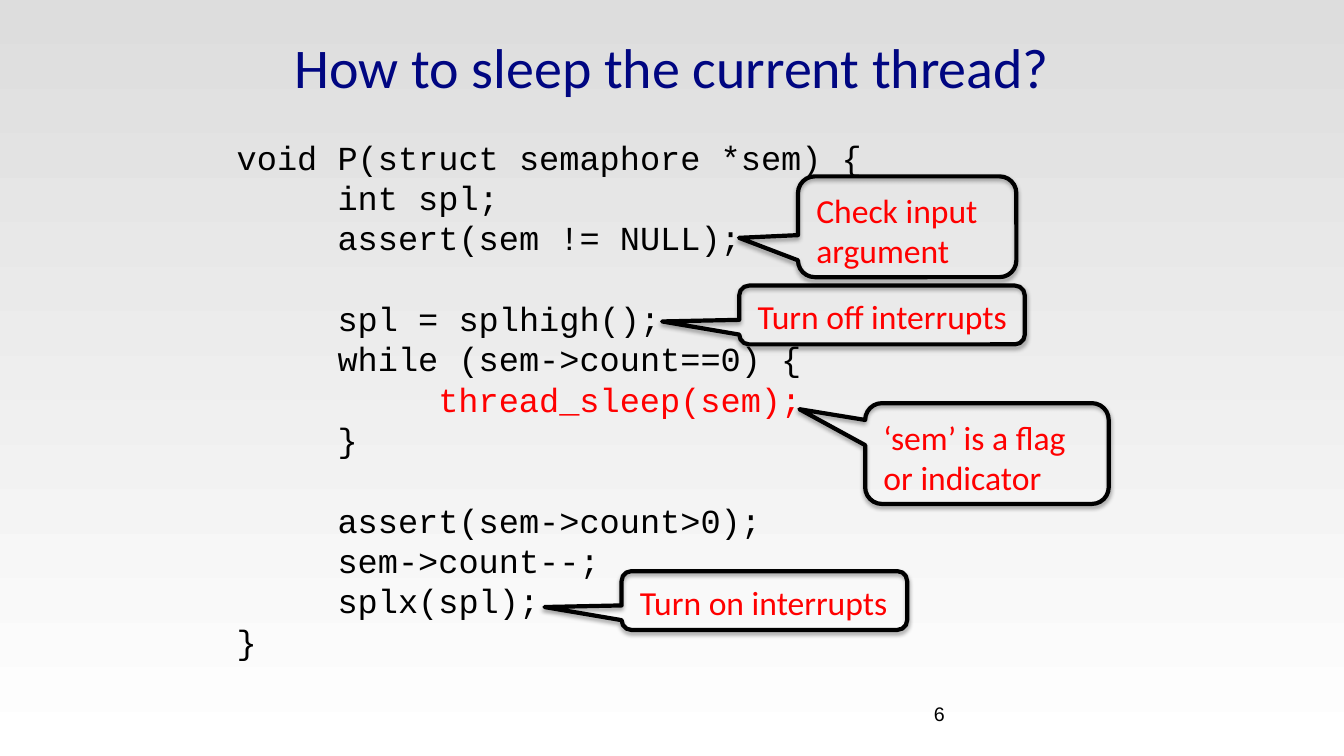
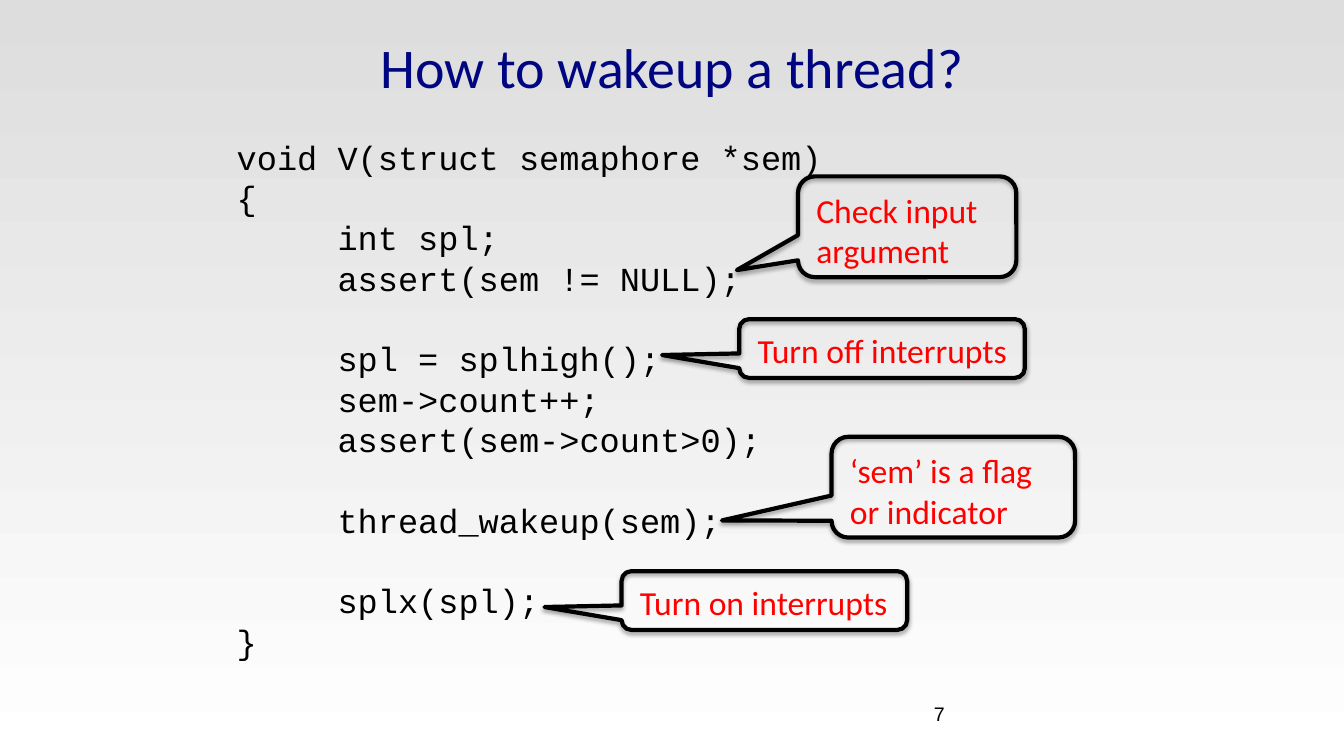
"""Build two slides that annotate the semaphore functions P and V with callouts."""
from dataclasses import dataclass

from lxml import etree
from pptx import Presentation
from pptx.dml.color import RGBColor
from pptx.enum.shapes import MSO_SHAPE
from pptx.enum.text import MSO_ANCHOR, PP_ALIGN
from pptx.util import Inches, Pt

CALLOUT = MSO_SHAPE.ROUNDED_RECTANGULAR_CALLOUT
MIDDLE = MSO_ANCHOR.MIDDLE
LEFT, CENTER = PP_ALIGN.LEFT, PP_ALIGN.CENTER


@dataclass(frozen=True)
class Theme:
    title: str = "000681"
    ink: str = "000000"
    accent: str = "FF0000"
    shade: str = "DDDDDD"
    paper: str = "FFFFFF"
    sans: str = "Calibri"
    mono: str = "Courier New"
    plain: str = "Arial"
    title_size: int = 40
    text_size: int = 24
    number_size: int = 14
    code_pitch: float = 28.8
    outline: int = 3


THEME = Theme()
UNIT = Inches(1) // 12
COLUMNS, ROWS = 160, 90
TITLE_AREA = (26, 0, 108, 15.7)
CODE_AREA = (27, 15.67, 110, 64)
NUMBER_AREA = (110, 83, 16, 6)
INDENT = 12 * UNIT
FIRST_NUMBER = 6
SHADOW = (
    '<a:effectLst xmlns:a="http://schemas.openxmlformats.org/drawingml/2006/main">'
    '<a:outerShdw blurRad="40000" dist="23000" dir="5400000" rotWithShape="0">'
    '<a:srgbClr val="000000"><a:alpha val="35000"/></a:srgbClr>'
    '</a:outerShdw></a:effectLst>'
)

NOTES = {
    "flag": ("‘sem’ is a flag or indicator", 29, 12, 1),
    "check": ("Check input argument", 26, 12, 1),
    "off": ("Turn off interrupts", 34, 7, 0.67),
    "on": ("Turn on interrupts", 34, 7, 0.67),
}
PAGES = [
    (
        "How to sleep the current thread?",
        [
            [(0, "void P(struct semaphore *sem) {"), (1, "int spl;"),
             (1, "assert(sem != NULL);")],
            [(1, "spl = splhigh();"), (1, "while (sem->count==0) {"),
             (2, "thread_sleep(sem);"), (1, "}")],
            [(1, "assert(sem->count>0);"), (1, "sem->count--;"),
             (1, "splx(spl);"), (0, "}")],
        ],
        [
            ("flag", 103, 48, -0.77, -0.44),
            ("check", 95, 21, -0.77, 0.11),
            ("off", 88, 34, -0.77, 0.11),
            ("on", 74, 68, -0.77, 0.11),
        ],
    ),
    (
        "How to wakeup a thread?",
        [
            [(0, "void V(struct semaphore *sem)"), (0, "{"), (1, "int spl;"),
             (1, "assert(sem != NULL);")],
            [(1, "spl = splhigh();"), (1, "sem->count++;"),
             (1, "assert(sem->count>0);")],
            [(1, "thread_wakeup(sem);")],
            [(1, "splx(spl);"), (0, "}")],
        ],
        [
            ("flag", 99, 52, -0.95, 0.33),
            ("check", 95, 21, -0.78, 0.43),
            ("off", 88, 38, -0.77, 0.11),
            ("on", 74, 68, -0.77, 0.11),
        ],
    ),
]
HIGHLIGHT = "thread_sleep"


def grid(*cells):
    """Turn grid cells into lengths."""
    return [int(cell * UNIT) for cell in cells]


def write(para, text, font=THEME.sans, size=THEME.text_size, color=THEME.ink, align=LEFT):
    """Add formatted text to a paragraph."""
    para.alignment = align
    span = para.add_run()
    span.text = text
    span.font.name = font
    span.font.size = Pt(size)
    span.font.color.rgb = RGBColor.from_string(color)


deck = Presentation()
deck.slide_width, deck.slide_height = grid(COLUMNS, ROWS)
layout = deck.slide_layouts.get_by_name("Title Only")

backdrop = deck.slide_master.background.fill
backdrop.gradient()
backdrop.gradient_angle = 270
for stop, color in zip(backdrop.gradient_stops, (THEME.shade, THEME.paper)):
    stop.color.rgb = RGBColor.from_string(color)

heading = layout.placeholders[0]
heading.left, heading.top, heading.width, heading.height = grid(*TITLE_AREA)
heading.text_frame.vertical_anchor = MIDDLE

for number, (title, blocks, callouts) in enumerate(PAGES, FIRST_NUMBER):
    page = deck.slides.add_slide(layout)
    write(page.shapes.title.text_frame.paragraphs[0], title,
          size=THEME.title_size, color=THEME.title, align=CENTER)

    number_box = page.shapes.add_textbox(*grid(*NUMBER_AREA))
    write(number_box.text_frame.paragraphs[0], str(number),
          font=THEME.plain, size=THEME.number_size)

    code = page.shapes.add_textbox(*grid(*CODE_AREA)).text_frame
    code.word_wrap = True
    para = code.paragraphs[0]
    for block_index, block in enumerate(blocks):
        for line_index, (depth, line) in enumerate(block):
            if block_index or line_index:
                para = code.add_paragraph()
            if block_index and not line_index:
                para.space_before = Pt(THEME.code_pitch)
            para.line_spacing = Pt(THEME.code_pitch)
            write(para, line, font=THEME.mono,
                  color=THEME.accent if HIGHLIGHT in line else THEME.ink)
            para._p.get_or_add_pPr().set("marL", str(depth * INDENT))

    for note, left, top, tail_across, tail_down in callouts:
        text, width, height, drop = NOTES[note]
        bubble = page.shapes.add_shape(CALLOUT, *grid(left, top, width, height))
        bubble.adjustments[0] = tail_across
        bubble.adjustments[1] = tail_down
        bubble.fill.background()
        bubble.line.color.rgb = RGBColor.from_string(THEME.ink)
        bubble.line.width = Pt(THEME.outline)
        bubble.element.spPr.append(etree.fromstring(SHADOW))
        label = page.shapes.add_textbox(*grid(left + 1, top + drop, width - 1, height - 2 * drop))
        label.text_frame.word_wrap = True
        write(label.text_frame.paragraphs[0], text, color=THEME.accent)

deck.save("out.pptx")
